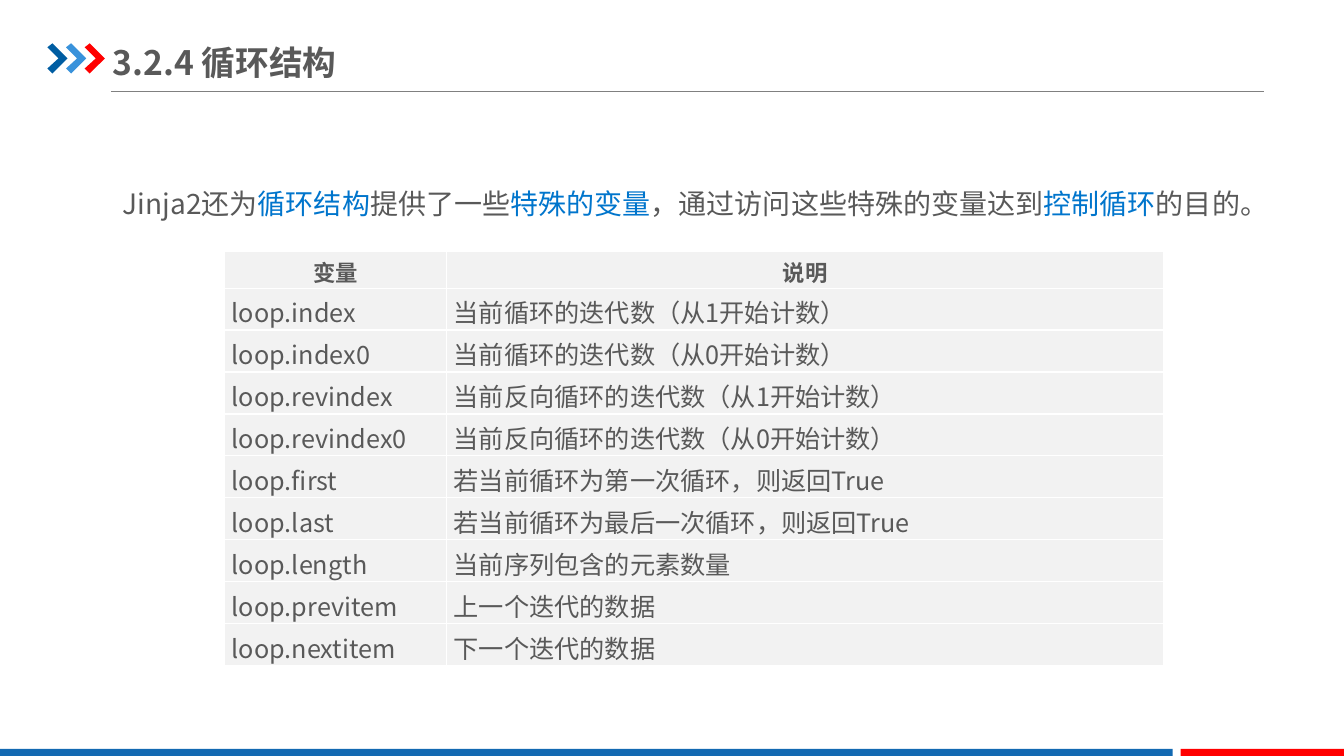
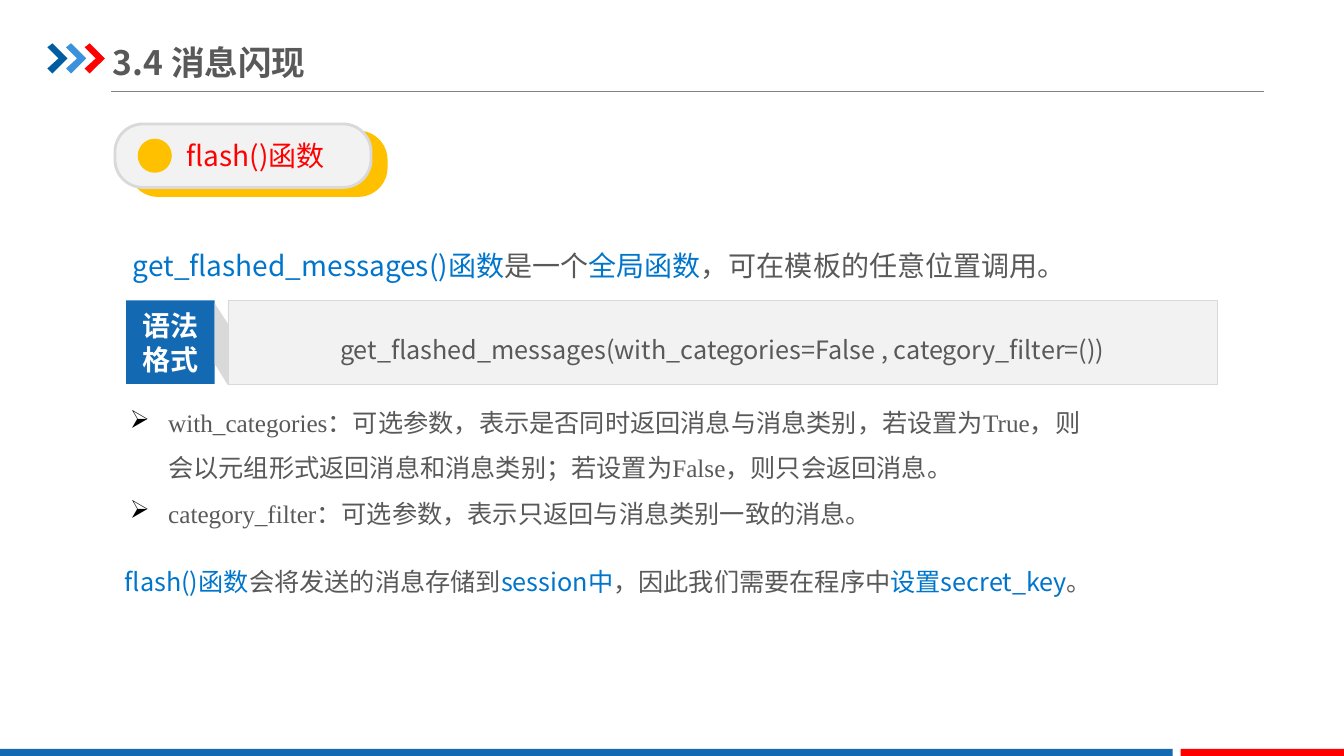
import pptx
import pptx.util
import pptx.dml.color
import pptx.enum.shapes
import pptx.enum.text
import pptx.oxml.ns
from lxml import etree

Inches = pptx.util.Inches
Pt = pptx.util.Pt
RGBColor = pptx.dml.color.RGBColor
SHAPE = pptx.enum.shapes.MSO_SHAPE
ALIGN = pptx.enum.text.PP_ALIGN
ANCHOR = pptx.enum.text.MSO_ANCHOR
qn = pptx.oxml.ns.qn

GREY_TEXT = RGBColor(0x59, 0x59, 0x59)
KEY_BLUE = RGBColor(0x00, 0x75, 0xCC)
BAND_BLUE = RGBColor(0x13, 0x69, 0xB2)
DARK_BLUE = RGBColor(0x00, 0x5D, 0xA2)
LIGHT_BLUE = RGBColor(0x39, 0x92, 0xDB)
RED = RGBColor(0xFF, 0x00, 0x00)
AMBER = RGBColor(0xFF, 0xC0, 0x00)
PALE_GREY = RGBColor(0xF2, 0xF2, 0xF2)
EDGE_GREY = RGBColor(0xD9, 0xD9, 0xD9)
RULE_GREY = RGBColor(0x80, 0x80, 0x80)
WHITE = RGBColor(0xFF, 0xFF, 0xFF)

SANS = "Noto Sans CJK SC"
SERIF = "Times New Roman"
SLIDE_WIDTH, SLIDE_HEIGHT = 13.33, 7.5

LOOP_VARIABLES = [
    ("变量", "说明"),
    ("loop.index", "当前循环的迭代数（从1开始计数）"),
    ("loop.index0", "当前循环的迭代数（从0开始计数）"),
    ("loop.revindex", "当前反向循环的迭代数（从1开始计数）"),
    ("loop.revindex0", "当前反向循环的迭代数（从0开始计数）"),
    ("loop.first", "若当前循环为第一次循环，则返回True"),
    ("loop.last", "若当前循环为最后一次循环，则返回True"),
    ("loop.length", "当前序列包含的元素数量"),
    ("loop.previtem", "上一个迭代的数据"),
    ("loop.nextitem", "下一个迭代的数据"),
]
PARAMETERS = [
    "with_categories：可选参数，表示是否同时返回消息与消息类别，若设置为True，"
    "则会以元组形式返回消息和消息类别；若设置为False，则只会返回消息。",
    "category_filter：可选参数，表示只返回与消息类别一致的消息。",
]


def emu(lengths):
    """Turn lengths in inches into a list of EMU values."""
    return [Inches(length) for length in lengths]


def add_run(paragraph, text, size, color=GREY_TEXT, bold=False, font=SANS):
    """Add one formatted run to a paragraph."""
    run = paragraph.add_run()
    run.text = text
    run.font.size = Pt(size)
    run.font.bold = bold
    run.font.color.rgb = color
    run.font.name = font
    etree.SubElement(run._r.get_or_add_rPr(), qn("a:ea"), typeface=SANS)


def write_runs(paragraph, runs, size, spacing=None, align=ALIGN.LEFT):
    """Fill a paragraph with (text, colour) runs."""
    paragraph.alignment = align
    if spacing:
        paragraph.line_spacing = spacing
    for text, color in runs:
        add_run(paragraph, text, size, color)


def format_frame(frame, insets=(0.1, 0.05, 0.1, 0.05), anchor=ANCHOR.TOP):
    """Set wrapping, insets and anchor of a text frame."""
    frame.auto_size = pptx.enum.text.MSO_AUTO_SIZE.NONE
    frame.word_wrap = True
    frame.vertical_anchor = anchor
    (frame.margin_left, frame.margin_top,
     frame.margin_right, frame.margin_bottom) = emu(insets)


def paint(shape, fill, line=None, width=0):
    """Give a shape a solid fill, an optional line and no shadow."""
    shape.shadow.inherit = False
    shape.fill.solid()
    shape.fill.fore_color.rgb = fill
    if line is None:
        shape.line.fill.background()
    else:
        shape.line.color.rgb = line
        shape.line.width = Pt(width)


def add_box(slide, kind, box, fill, line=None, width=0):
    """Add a painted preset shape."""
    shape = slide.shapes.add_shape(kind, *emu(box))
    paint(shape, fill, line, width)
    return shape


def add_polygon(slide, left, top, points, fill):
    """Add a closed outline from points relative to a corner."""
    corners = [emu((left + x, top + y)) for x, y in points]
    builder = slide.shapes.build_freeform(*corners[0], scale=1.0)
    builder.add_line_segments(corners[1:], close=True)
    paint(builder.convert_to_shape(), fill)


def add_text(slide, box, runs, size, spacing=None):
    """Add a text box holding one paragraph of coloured runs."""
    frame = slide.shapes.add_textbox(*emu(box)).text_frame
    format_frame(frame)
    write_runs(frame.paragraphs[0], runs, size, spacing)


def add_titled_slide(presentation, title_text):
    """Add a slide with the shared title, rule, chevrons and bands."""
    slide = presentation.slides.add_slide(presentation.slide_layouts[5])
    title = slide.shapes.title
    title.left, title.top, title.width, title.height = emu((1.12, 0.34, 4.26, 0.55))
    format_frame(title.text_frame, (0, 0.07, 0, 0.07), ANCHOR.MIDDLE)
    paragraph = title.text_frame.paragraphs[0]
    paragraph.alignment = ALIGN.LEFT
    add_run(paragraph, title_text, 24, bold=True)

    rule = slide.shapes.add_connector(
        pptx.enum.shapes.MSO_CONNECTOR.STRAIGHT, *emu((1.1, 0.91, 12.54, 0.91)))
    rule.line.color.rgb = RULE_GREY
    rule.line.width = Pt(0.75)
    etree.SubElement(rule._element.spPr, qn("a:effectLst"))

    chevron = [(0, 0.04), (0.05, 0), (0.2, 0.15), (0.05, 0.3), (0, 0.25), (0.11, 0.15)]
    step = (0.84 - 0.47) / 2
    for index, color in enumerate((DARK_BLUE, LIGHT_BLUE, RED)):
        add_polygon(slide, 0.47 + index * step, 0.43, chevron, color)

    band_top = 7.43
    for left, right, color in ((0, 11.63, BAND_BLUE), (11.71, SLIDE_WIDTH, RED)):
        add_box(slide, SHAPE.RECTANGLE,
                (left, band_top, right - left, SLIDE_HEIGHT - band_top), color)
    return slide


def format_cell(cell):
    """Give a table cell white borders, a pale fill and tight insets."""
    properties = cell._tc.get_or_add_tcPr()
    for side in ("a:lnL", "a:lnR", "a:lnT", "a:lnB"):
        border = etree.SubElement(properties, qn(side), w=str(Pt(1)))
        fill = etree.SubElement(border, qn("a:solidFill"))
        etree.SubElement(fill, qn("a:srgbClr"), val=str(WHITE))
    cell.fill.solid()
    cell.fill.fore_color.rgb = PALE_GREY
    cell.vertical_anchor = ANCHOR.MIDDLE
    cell.margin_left = cell.margin_right = Inches(0.07)
    cell.margin_top = cell.margin_bottom = 0


def add_variable_table(slide, box, rows, first_width, header_height):
    """Add the two-column table of loop variables."""
    left, top, width, height = box
    table = slide.shapes.add_table(len(rows), 2, *emu(box)).table
    table.first_row = table.horz_banding = False
    table.columns[0].width = Inches(first_width)
    table.columns[1].width = Inches(width - first_width)
    body_height = (height - header_height) / (len(rows) - 1)
    for row_index, texts in enumerate(rows):
        header = row_index == 0
        table.rows[row_index].height = Inches(header_height if header else body_height)
        for column_index, text in enumerate(texts):
            cell = table.cell(row_index, column_index)
            format_cell(cell)
            paragraph = cell.text_frame.paragraphs[0]
            paragraph.alignment = ALIGN.CENTER if header else ALIGN.LEFT
            paragraph.line_spacing = 1.15
            add_run(paragraph, text, 16 if header else 18, bold=header)


def add_topic_pill(slide, box, text):
    """Add a rounded label with an amber offset and a dot."""
    left, top, width, height = box
    layers = ((0.15, 0.08, AMBER, AMBER), (0, 0, PALE_GREY, EDGE_GREY))
    for right_shift, down_shift, fill, line in layers:
        pill = add_box(slide, SHAPE.ROUNDED_RECTANGLE,
                       (left + right_shift, top + down_shift, width, height), fill, line, 2)
        pill.adjustments[0] = 0.44
    format_frame(pill.text_frame, (0.35, 0.05, 0.1, 0.05), ANCHOR.MIDDLE)
    write_runs(pill.text_frame.paragraphs[0], [(text, RED)], 20, align=ALIGN.CENTER)
    dot = 0.31
    add_box(slide, SHAPE.OVAL, (left + 0.24, top + (height - dot) / 2, dot, dot),
            AMBER, AMBER, 2)


def add_syntax_panel(slide, box, label_lines, code):
    """Add a blue label joined by a fold to a panel of code."""
    left, top, width, height = box
    label_width, fold = 0.88, 0.13
    panel_left = label_width + fold
    panel = add_box(slide, SHAPE.RECTANGLE,
                    (left + panel_left, top, width - panel_left, height),
                    PALE_GREY, EDGE_GREY, 0.25)
    format_frame(panel.text_frame, anchor=ANCHOR.MIDDLE)
    write_runs(panel.text_frame.paragraphs[0], [(code, GREY_TEXT)], 18, 1.5, ALIGN.CENTER)

    label = add_box(slide, SHAPE.RECTANGLE, (left, top, label_width, height), BAND_BLUE)
    frame = label.text_frame
    format_frame(frame, (0, 0, 0, 0), ANCHOR.MIDDLE)
    for index, line in enumerate(label_lines):
        paragraph = frame.add_paragraph() if index else frame.paragraphs[0]
        paragraph.alignment = ALIGN.CENTER
        add_run(paragraph, line, 20, WHITE, bold=True)

    add_polygon(slide, left + label_width, top + 0.03,
                [(0, 0), (fold, 0.2), (fold, 0.81), (0, 0.6)], EDGE_GREY)


def add_bullets(slide, box, texts):
    """Add a list with arrowhead bullets and a hanging indent."""
    frame = slide.shapes.add_textbox(*emu(box)).text_frame
    format_frame(frame)
    for index, text in enumerate(texts):
        paragraph = frame.add_paragraph() if index else frame.paragraphs[0]
        properties = paragraph._p.get_or_add_pPr()
        properties.set("marL", str(Inches(0.38)))
        properties.set("indent", str(-Inches(0.38)))
        color = etree.SubElement(properties, qn("a:buClr"))
        etree.SubElement(color, qn("a:srgbClr"), val="000000")
        etree.SubElement(properties, qn("a:buChar"), char="➢")
        paragraph.line_spacing = 1.5
        add_run(paragraph, text, 18, font=SERIF)


def build_loop_slide(presentation):
    """Build the slide on special loop variables."""
    slide = add_titled_slide(presentation, "3.2.4 循环结构")
    add_text(slide, (1.12, 1.63, 11.54, 0.61), [
        ("Jinja2还为", GREY_TEXT), ("循环结构", KEY_BLUE),
        ("提供了一些", GREY_TEXT), ("特殊的变量", KEY_BLUE),
        ("，通过访问这些特殊的变量达到", GREY_TEXT), ("控制循环", KEY_BLUE),
        ("的目的。", GREY_TEXT)], 20, 1.5)
    add_variable_table(slide, (2.23, 2.49, 9.31, 3.98), LOOP_VARIABLES, 2.2, 0.34)


def build_flash_slide(presentation):
    """Build the slide on message flashing."""
    slide = add_titled_slide(presentation, "3.4 消息闪现")
    add_topic_pill(slide, (1.14, 1.23, 2.54, 0.63), "flash()函数")
    add_text(slide, (1.22, 2.25, 10.88, 0.62), [
        ("get_flashed_messages()函数", KEY_BLUE), ("是一个", GREY_TEXT),
        ("全局函数", KEY_BLUE), ("，可在模板的任意位置调用。", GREY_TEXT)], 20, 1.5)
    add_syntax_panel(slide, (1.25, 2.98, 10.82, 0.83), ("语法", "格式"),
                     "get_flashed_messages(with_categories=False , category_filter=())")
    add_bullets(slide, (1.19, 3.84, 9.84, 1.41), PARAMETERS)
    add_text(slide, (1.14, 5.57, 10.41, 0.4), [
        ("flash()函数", KEY_BLUE), ("会将发送的消息存储到", GREY_TEXT),
        ("session中", KEY_BLUE), ("，因此我们需要在程序中", GREY_TEXT),
        ("设置secret_key", KEY_BLUE), ("。", GREY_TEXT)], 18)


def main():
    """Build and save the presentation."""
    presentation = pptx.Presentation()
    presentation.slide_width = Inches(SLIDE_WIDTH)
    presentation.slide_height = Inches(SLIDE_HEIGHT)
    build_loop_slide(presentation)
    build_flash_slide(presentation)
    presentation.save("out.pptx")


if __name__ == "__main__":
    main()
